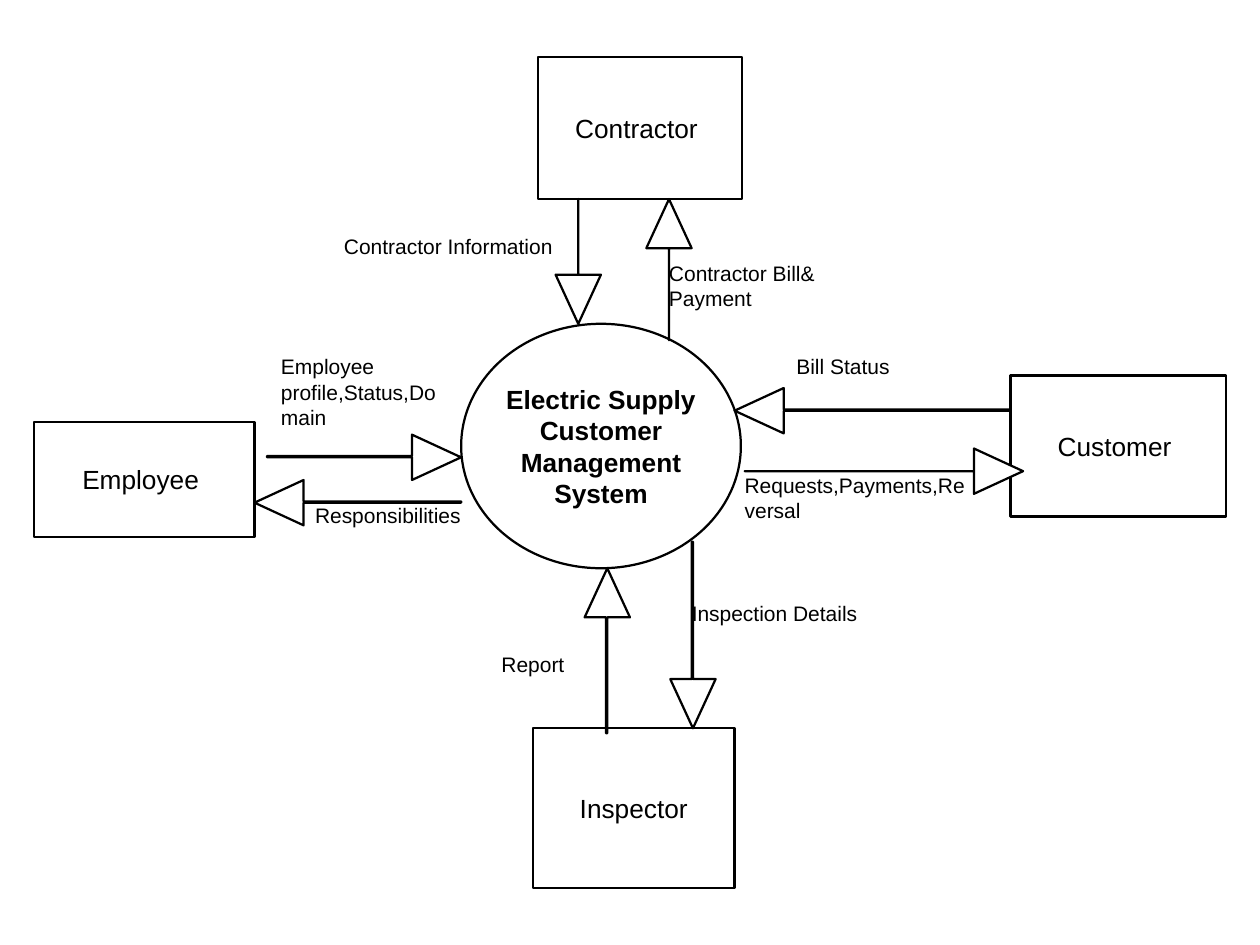
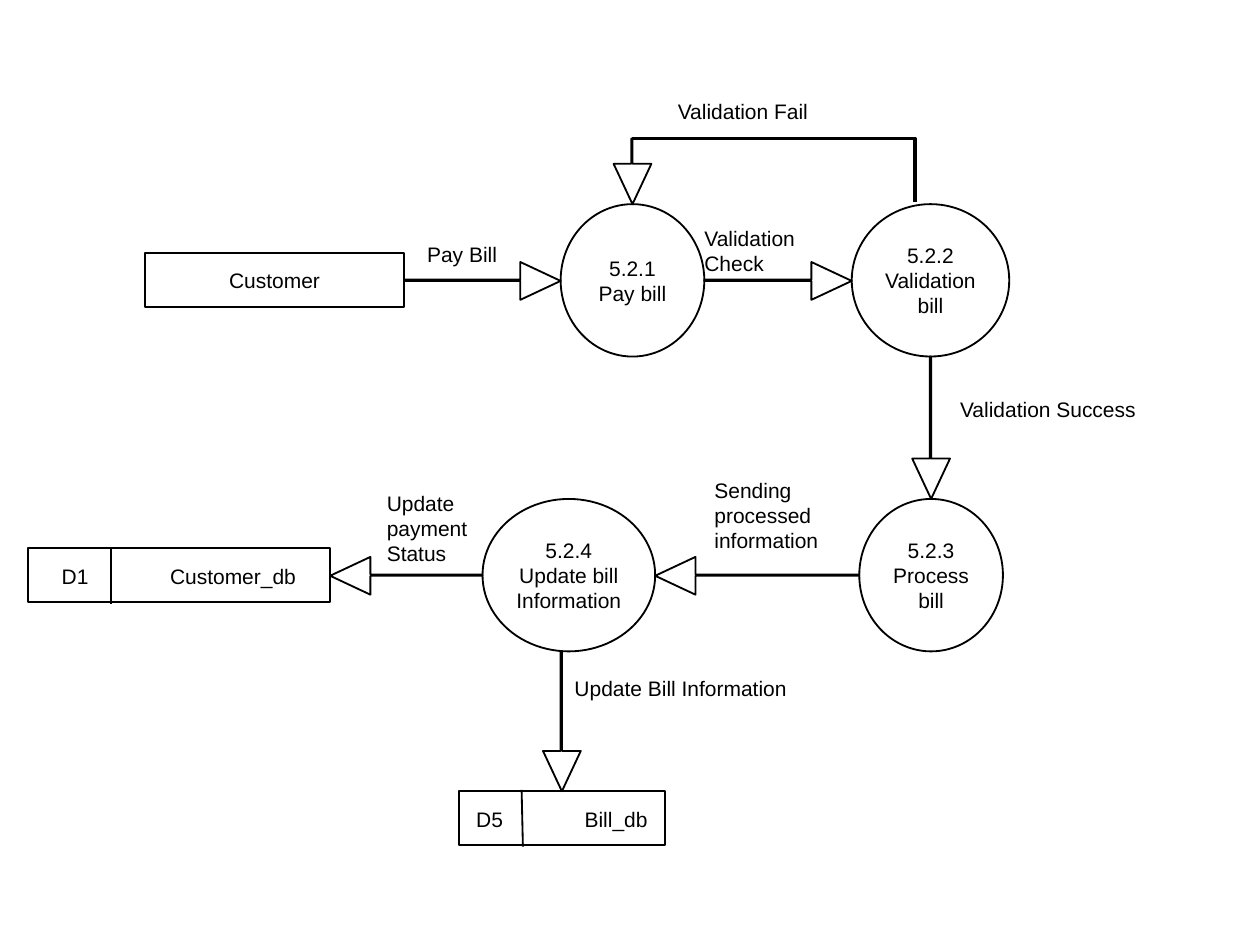
import dataclasses

import pptx
import pptx.dml.color
import pptx.enum.shapes
import pptx.enum.text
import pptx.oxml
import pptx.util
import lxml.etree

PX = 9144
FONT = "Arial"
INK = "000000"
PAPER = "FFFFFF"
LABEL_SIZE = 12
LABEL_LINE = 20
RECT = pptx.enum.shapes.MSO_SHAPE.RECTANGLE
OVAL = pptx.enum.shapes.MSO_SHAPE.OVAL
LEFT = pptx.enum.text.PP_ALIGN.LEFT
CENTER = pptx.enum.text.PP_ALIGN.CENTER


@dataclasses.dataclass
class Box:
    """A rectangle in px."""
    left: int
    top: int
    width: int
    height: int

    @property
    def right(self):
        """Return the right edge."""
        return self.left + self.width

    @property
    def bottom(self):
        """Return the bottom edge."""
        return self.top + self.height

    def inner(self, left, top, width, height):
        """Return a box placed relative to this one."""
        return Box(self.left + left, self.top + top, width, height)

    def emu(self):
        """Return the position and size in EMU."""
        return [PX * side for side in (self.left, self.top, self.width, self.height)]


@dataclasses.dataclass
class Style:
    """Line weight, node text size and arrowhead of one diagram."""
    weight: float
    text_size: int
    head_length: int
    head_half: int


CONTEXT = Style(1.28, 15, 39, 18)
PAYMENT = Style(1.05, 12, 32, 15)


def color(hex_string):
    """Turn a hex string into a colour."""
    return pptx.dml.color.RGBColor.from_string(hex_string)


def outline(shape, weight, filled=True):
    """Give a shape an ink line and a paper fill or none."""
    shape.shadow.inherit = False
    shape.line.color.rgb = color(INK)
    shape.line.width = pptx.util.Pt(weight)
    if filled:
        shape.fill.solid()
        shape.fill.fore_color.rgb = color(PAPER)
    else:
        shape.fill.background()


def write(frame, text, size, align, bold=False):
    """Fill a text frame and format its runs."""
    frame.text = text
    frame.word_wrap = True
    frame.margin_left = frame.margin_right = frame.margin_top = frame.margin_bottom = 0
    for paragraph in frame.paragraphs:
        paragraph.alignment = align
        for run in paragraph.runs:
            run.font.name = FONT
            run.font.size = pptx.util.Pt(size)
            run.font.bold = bold
            run.font.color.rgb = color(INK)


def node(slide, box, style, kind, text="", bold=False):
    """Draw an entity or process with its centred name and return its box."""
    shape = slide.shapes.add_shape(kind, *box.emu())
    outline(shape, style.weight)
    write(shape.text_frame, text, style.text_size, CENTER, bold)
    shape.text_frame.vertical_anchor = pptx.enum.text.MSO_ANCHOR.MIDDLE
    return box


def label(slide, area, left, top, width, text, lines=1):
    """Write a flow label inside an area."""
    box = area.inner(left, top, width, lines * LABEL_LINE)
    write(slide.shapes.add_textbox(*box.emu()).text_frame, text, LABEL_SIZE, LEFT)


def outline_path(slide, points, weight, closed=True):
    """Draw a closed or open outline through points."""
    builder = slide.shapes.build_freeform(*points[0], scale=PX)
    builder.add_line_segments(points[1:], close=closed)
    outline(builder.convert_to_shape(), weight, closed)


def arrow(slide, style, tail, tip, shaft=1):
    """Draw a straight flow arrow with a hollow triangular head."""
    vertical = tail[0] == tip[0]
    axis = 1 if vertical else 0
    middle = tip[1 - axis]
    neck = tip[axis] + style.head_length * (1 if tail[axis] > tip[axis] else -1)
    profile = [(tip[axis], 0), (neck, style.head_half), (neck, 0), (tail[axis], 0),
               (tail[axis], -shaft), (neck, -shaft), (neck, -style.head_half)]
    points = [(middle + side, along) if vertical else (along, middle + side)
              for along, side in profile]
    outline_path(slide, points, style.weight)


def data_store(slide, box, style, code, name, code_left, divider_top, divider_bottom):
    """Draw a data store with its code, divider and name."""
    node(slide, box, style, RECT)
    divider = slide.shapes.add_connector(
        pptx.enum.shapes.MSO_CONNECTOR.STRAIGHT,
        PX * (box.left + divider_top), PX * (box.top - 1),
        PX * (box.left + divider_bottom), PX * (box.bottom + 1))
    divider.line.color.rgb = color(INK)
    divider.line.width = pptx.util.Pt(style.weight)
    lxml.etree.SubElement(divider.element.spPr, pptx.oxml.ns.qn("a:effectLst"))
    label(slide, box, code_left, 12, 30, code)
    label(slide, box, code_left + 86, 12, 110, name)
    return box


def context_diagram(slide, area):
    """Draw the system, its four external entities and their flows."""
    style = CONTEXT
    system = node(slide, area.inner(366, 257, 222, 194), style, OVAL,
                  "Electric Supply Customer Management System", True)
    customer = node(slide, area.inner(802, 298, 171, 112), style, RECT, "Customer ")
    contractor = node(slide, area.inner(427, 45, 162, 113), style, RECT, "Contractor ")
    employee = node(slide, area.inner(27, 335, 175, 91), style, RECT, "Employee ")
    inspector = node(slide, area.inner(423, 578, 160, 127), style, RECT, "Inspector")

    bill_x, information_x = contractor.left + 104, contractor.left + 32
    arrow(slide, style, (bill_x, system.top + 13), (bill_x, contractor.bottom), 0)
    arrow(slide, style, (information_x, contractor.bottom), (information_x, system.top), 0)
    status_y, request_y = customer.top + 28, customer.top + 76
    arrow(slide, style, (customer.left, status_y), (system.right - 5, status_y))
    arrow(slide, style, (system.right + 3, request_y), (customer.left + 10, request_y), 0)
    details_x, report_x = inspector.left + 127, inspector.left + 59
    arrow(slide, style, (details_x, system.bottom - 21), (details_x, inspector.top))
    arrow(slide, style, (report_x, inspector.top + 4), (report_x, system.bottom))
    duty_y, profile_y = employee.top + 64, employee.top + 28
    arrow(slide, style, (system.left, duty_y), (employee.right, duty_y))
    arrow(slide, style, (employee.right + 10, profile_y), (system.left, profile_y))

    for flow in (
        (531, 207, 170, "Contractor Bill&\nPayment", 2),
        (273, 185, 205, "Contractor Information"),
        (632, 281, 149, "Bill Status"),
        (591, 375, 179, "Requests,Payments,Reversal", 2),
        (549, 477, 179, "Inspection Details"),
        (398, 517, 84, "Report"),
        (223, 281, 133, "Employee profile,Status,Domain", 3),
        (250, 399, 125, "Responsibilities"),
    ):
        label(slide, area, *flow)


def payment_diagram(slide, area):
    """Draw the bill payment processes, data stores and flows."""
    style = PAYMENT
    customer = node(slide, area.inner(115, 201, 206, 43), style, RECT, "Customer")
    pay = node(slide, area.inner(445, 162, 114, 121), style, OVAL, "5.2.1\nPay bill")
    validate = node(slide, area.inner(676, 162, 125, 121), style, OVAL,
                    "5.2.2\nValidation bill")
    process = node(slide, area.inner(682, 396, 114, 121), style, OVAL,
                   "5.2.3\nProcess bill")
    update = node(slide, area.inner(383, 396, 137, 121), style, OVAL,
                  "5.2.4\nUpdate bill Information")
    customer_db = data_store(slide, area.inner(22, 435, 240, 43), style,
                             "D1", "Customer_db", 27, 66, 66)
    bill_db = data_store(slide, area.inner(364, 628, 164, 43), style,
                         "D5", "Bill_db", 14, 50, 51)

    upper_y, lower_y = pay.top + 61, process.top + 61
    pay_x, process_x, store_x = pay.left + 57, process.left + 57, bill_db.left + 82
    arrow(slide, style, (customer.right, upper_y), (pay.left, upper_y))
    arrow(slide, style, (pay.right, upper_y), (validate.left, upper_y))
    arrow(slide, style, (process_x, validate.bottom), (process_x, process.top))
    arrow(slide, style, (process.left, lower_y), (update.right, lower_y))
    arrow(slide, style, (update.left, lower_y), (customer_db.right, lower_y))
    arrow(slide, style, (store_x, update.bottom), (store_x, bill_db.top))
    fail_x, fail_y = validate.left + 50, pay.top - 52
    arrow(slide, style, (pay_x, fail_y), (pay_x, pay.top))
    outline_path(slide, [(pay_x, fail_y), (fail_x, fail_y), (fail_x, validate.top - 2)],
                 2.07, False)

    for flow in (
        (762, 315, 216, "Validation Success"),
        (538, 78, 216, "Validation Fail"),
        (339, 192, 84, "Pay Bill"),
        (559, 179, 85, "Validation Check", 2),
        (567, 379, 101, "Sending processed information", 3),
        (456, 536, 216, "Update Bill Information"),
        (307, 389, 73, "Update payment Status", 3),
    ):
        label(slide, area, *flow)


def main():
    """Build both data flow diagrams."""
    deck = pptx.Presentation()
    page = Box(0, 0, 1000, 750)
    deck.slide_width, deck.slide_height = PX * page.width, PX * page.height
    blank = deck.slide_layouts[6]
    for diagram in (context_diagram, payment_diagram):
        diagram(deck.slides.add_slide(blank), page)
    deck.save("out.pptx")


if __name__ == "__main__":
    main()
